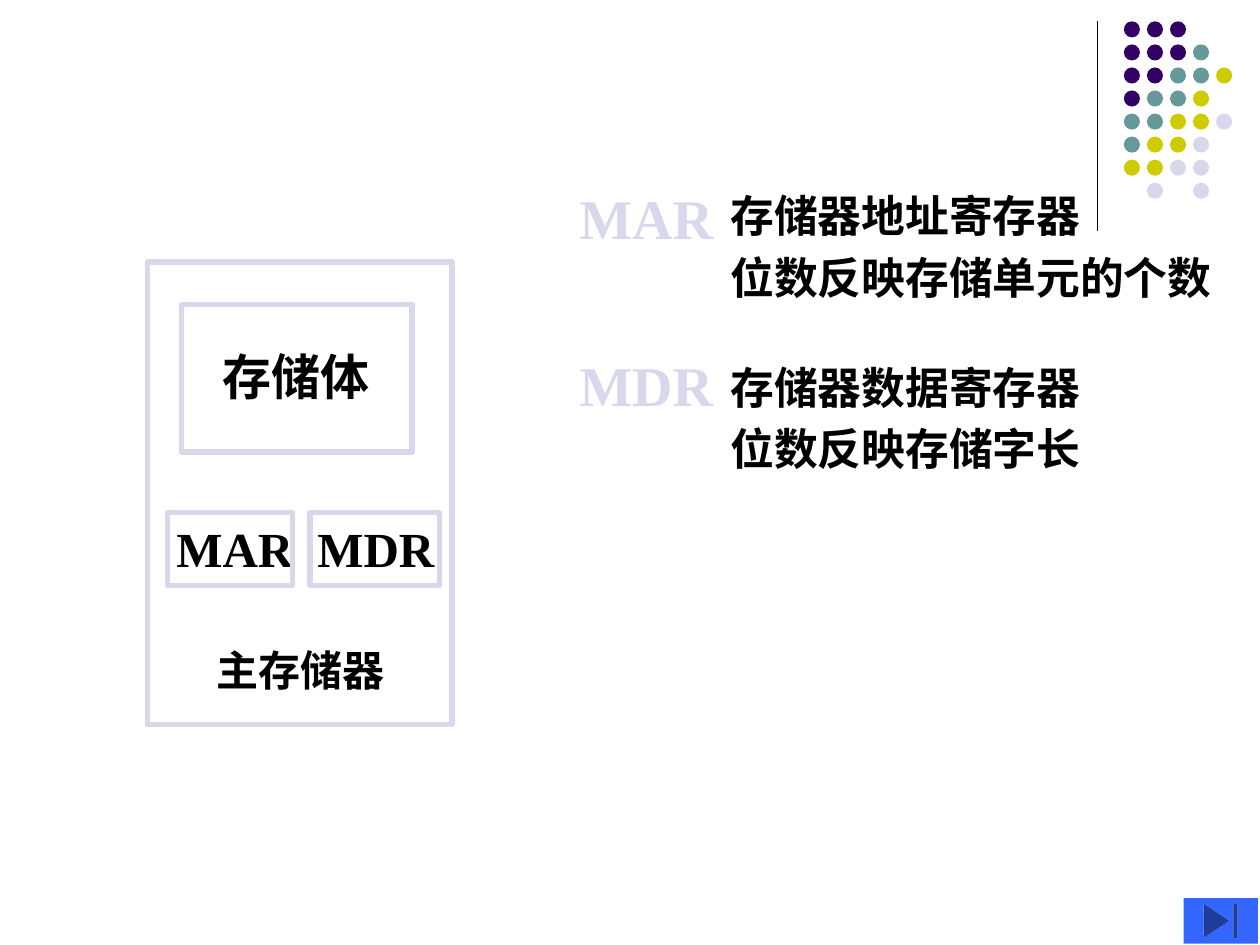
from dataclasses import dataclass

import pptx
import pptx.dml.color
import pptx.enum.shapes
import pptx.enum.text
import pptx.oxml.ns
import pptx.util
from lxml import etree

Pt = pptx.util.Pt
RGBColor = pptx.dml.color.RGBColor
MSO_SHAPE = pptx.enum.shapes.MSO_SHAPE
qn = pptx.oxml.ns.qn

BLACK = RGBColor(0x00, 0x00, 0x00)
PURPLE = RGBColor(0x33, 0x00, 0x66)
TEAL = RGBColor(0x66, 0x99, 0x99)
OLIVE = RGBColor(0xCC, 0xCC, 0x00)
LAVENDER = RGBColor(0xD8, 0xD8, 0xEC)
BLUE = RGBColor(0x33, 0x66, 0xFF)

LATIN = "Times New Roman"
CJK = "Noto Sans CJK SC"

DOT_COLORS = {"P": PURPLE, "T": TEAL, "O": OLIVE, "L": LAVENDER}
DOT_ROWS = ["PPP", "PPPT", "PPTTO", "PTTO", "TTOOL", "TOOL", "OOLL", " L L"]
DOT_LEFT, DOT_TOP, DOT_PITCH, DOT_SIZE = 642.2, 12.2, 13.17, 9.2


@dataclass(frozen=True)
class Frame:
    left: float
    top: float
    width: float
    height: float


@dataclass(frozen=True)
class Label:
    text: str
    left: float
    top: float
    width: float
    height: float
    size: float
    line: float
    font: str = CJK
    color: RGBColor = BLACK
    inset_x: float = 7.2
    inset_y: float = 3.6


FRAMES = [
    Frame(84.2, 149.8, 174.2, 264.2),   # main memory
    Frame(103.7, 174.2, 131.8, 84.2),   # storage body
    Frame(95.8, 293, 71.3, 41.8),       # MAR
    Frame(177.1, 293, 74.2, 41.8),      # MDR
]

LABELS = [
    # Explanations on the right
    Label("MAR", 324, 100.1, 109.4, 45.4, 32, 39.5, LATIN, LAVENDER),
    Label("MDR", 324, 195.8, 98.6, 45.4, 32, 39.5, LATIN, LAVENDER),
    Label("存储器地址寄存器\n位数反映存储单元的个数",
          410.4, 103, 293.8, 74.2, 25, 35, inset_y=0),
    Label("存储器数据寄存器\n位数反映存储字长",
          410.4, 200.9, 217.4, 74.2, 25, 35, inset_y=0),
    # Names inside the memory diagram
    Label("存储体", 120.2, 192.2, 99, 41, 28, 36),
    Label("MAR", 100.8, 292.3, 68, 41, 28, 34, LATIN, inset_x=0),
    Label("MDR", 181.4, 292.3, 68, 41, 28, 34, LATIN, inset_x=0),
    Label("主存储器", 123.8, 365.8, 97, 28.8, 24, 31, inset_x=0, inset_y=0),
]


def add_solid(s, kind: MSO_SHAPE, frame: Frame, color: RGBColor) -> None:
    sp = s.shapes.add_shape(kind, Pt(frame.left), Pt(frame.top),
                            Pt(frame.width), Pt(frame.height))
    sp.shadow.inherit = False
    sp.fill.solid()
    sp.fill.fore_color.rgb = color
    sp.line.fill.background()


def add_frame(s, frame: Frame) -> None:
    sp = s.shapes.add_shape(MSO_SHAPE.RECTANGLE, Pt(frame.left), Pt(frame.top),
                            Pt(frame.width), Pt(frame.height))
    sp.shadow.inherit = False
    sp.fill.background()
    sp.line.color.rgb = LAVENDER
    sp.line.width = Pt(3)


def add_label(s, label: Label) -> None:
    sp = s.shapes.add_textbox(Pt(label.left), Pt(label.top),
                              Pt(label.width), Pt(label.height))
    tf = sp.text_frame
    tf.text = label.text
    tf.word_wrap = True
    tf.vertical_anchor = pptx.enum.text.MSO_ANCHOR.TOP
    tf.margin_left = tf.margin_right = Pt(label.inset_x)
    tf.margin_top = tf.margin_bottom = Pt(label.inset_y)
    for p in tf.paragraphs:
        p.line_spacing = Pt(label.line)
        for r in p.runs:
            r.font.size = Pt(label.size)
            r.font.bold = True
            r.font.color.rgb = label.color
            r.font.name = label.font
            ea = etree.SubElement(r.font._element, qn("a:ea"))
            ea.set("typeface", label.font)


def add_rule(s, x: float, top: float, bottom: float) -> None:
    cx = s.shapes.add_connector(pptx.enum.shapes.MSO_CONNECTOR.STRAIGHT,
                                Pt(x), Pt(top), Pt(x), Pt(bottom))
    cx.line.color.rgb = BLACK
    cx.line.width = Pt(0.75)
    etree.SubElement(cx._element.spPr, qn("a:effectLst"))


def add_dots(s) -> None:
    for row, marks in enumerate(DOT_ROWS):
        for col, mark in enumerate(marks):
            if mark in DOT_COLORS:
                dot = Frame(DOT_LEFT + col * DOT_PITCH, DOT_TOP + row * DOT_PITCH,
                            DOT_SIZE, DOT_SIZE)
                add_solid(s, MSO_SHAPE.OVAL, dot, DOT_COLORS[mark])


def main() -> None:
    prs = pptx.Presentation()
    prs.slide_width, prs.slide_height = Pt(720), Pt(540)
    s = prs.slides.add_slide(prs.slide_layouts[6])

    # Corner decoration
    add_rule(s, 627.1, 12.2, 131.8)
    add_dots(s)

    # Texts, then the diagram frames over them
    for label in LABELS:
        add_label(s, label)
    for frame in FRAMES:
        add_frame(s, frame)

    # Navigation button
    add_solid(s, MSO_SHAPE.ACTION_BUTTON_END, Frame(676.3, 513.2, 42.5, 26), BLUE)

    prs.save("out.pptx")


if __name__ == "__main__":
    main()
